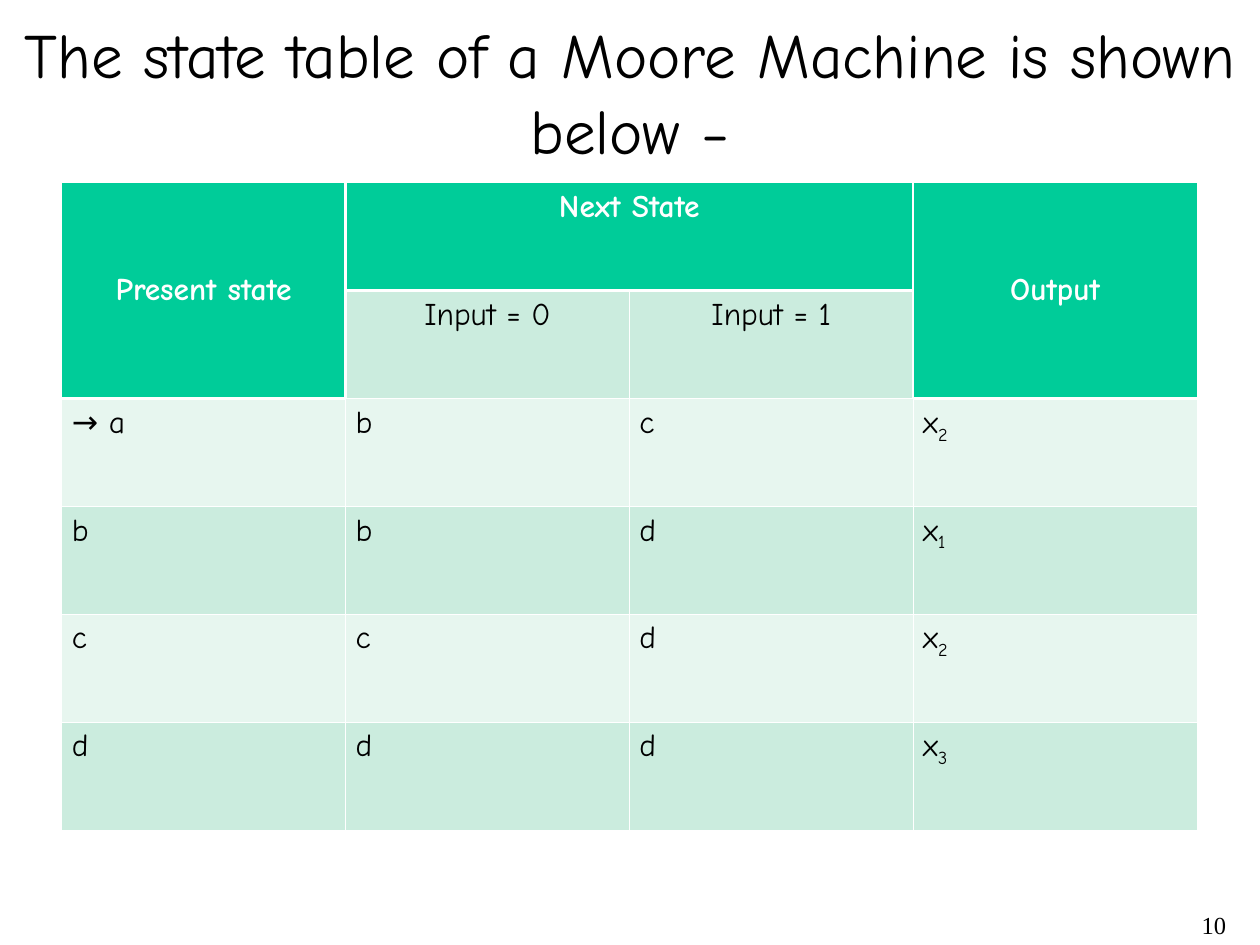
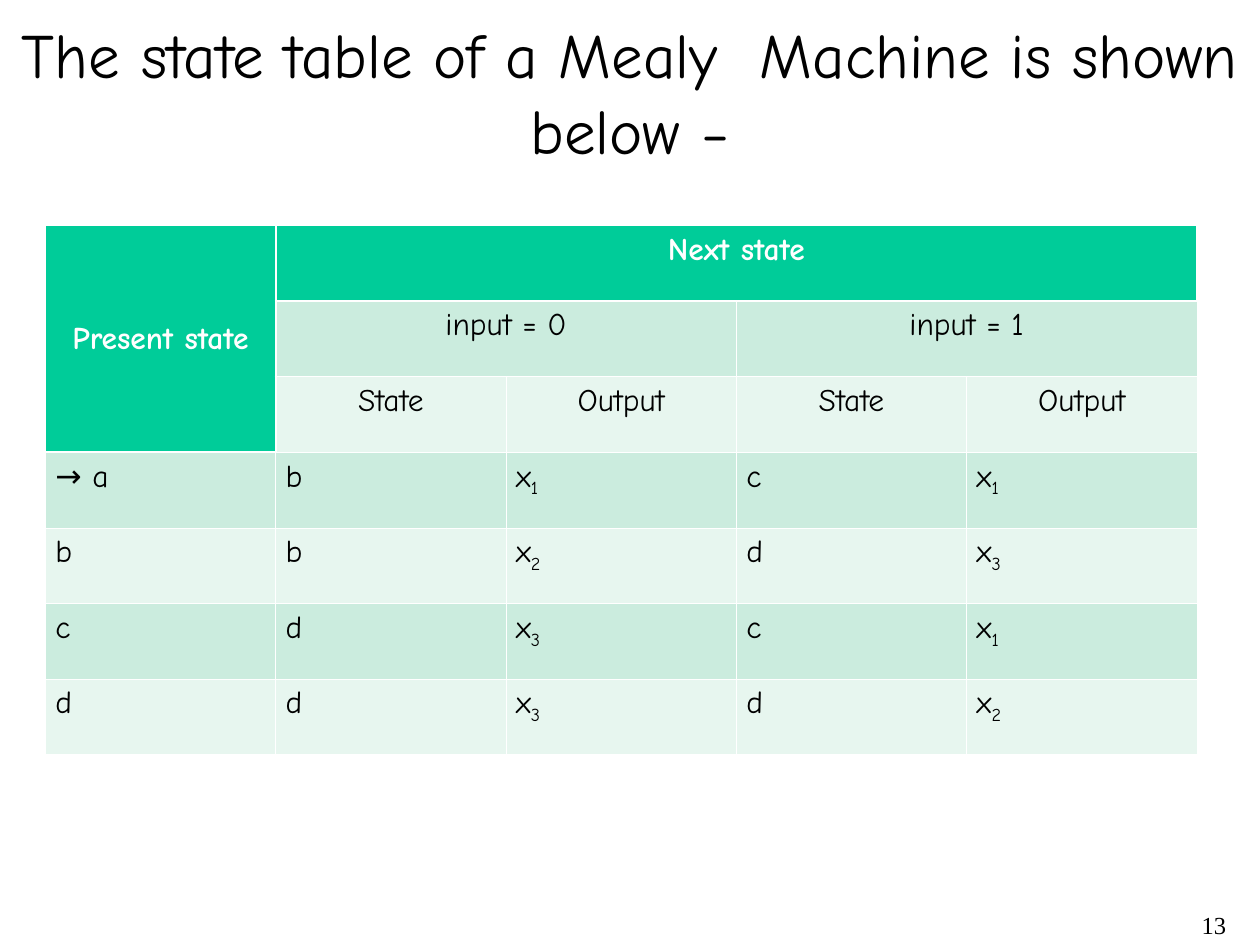
from lxml import etree
from pptx import Presentation
from pptx.dml.color import RGBColor
from pptx.enum import text as t
from pptx.oxml import ns
from pptx.util import Inches, Pt

BLACK = RGBColor(0x00, 0x00, 0x00)
WHITE = RGBColor(0xFF, 0xFF, 0xFF)
HEADING_GREEN = RGBColor(0x00, 0xCC, 0x99)
BANDS = (RGBColor(0xE7, 0xF6, 0xEF), RGBColor(0xCB, 0xEC, 0xDE))
BODY_FONT = "Comic Neue"
NUMBER_FONT = "Times New Roman"
TITLE_BOX = (0, 0, 10, 1.45)
NUMBER_BOX = (7.75, 7.17, 2.08, 0.33)
THIN, THICK = Pt(0.45), Pt(1.47)
SIDES = {"L": (0, -1), "R": (0, 1), "T": (-1, 0), "B": (1, 0)}

MOORE_ROWS = [
    ["Present state", "Next State", None, "Output"],
    [None, "Input = 0", "Input = 1", None],
    ["→ a", "b", "c", "x2"],
    ["b", "b", "d", "x1"],
    ["c", "c", "d", "x2"],
    ["d", "d", "d", "x3"],
]
MOORE_SPANS = {(0, 0): (2, 1), (0, 1): (1, 2), (0, 3): (2, 1)}

MEALY_ROWS = [
    ["Present state", "Next state", None, None, None],
    [None, "input = 0", None, "input = 1", None],
    [None, "State", "Output", "State", "Output"],
    ["→ a", "b", "x1", "c", "x1"],
    ["b", "b", "x2", "d", "x3"],
    ["c", "d", "x3", "c", "x1"],
    ["d", "d", "x3", "d", "x2"],
]
MEALY_SPANS = {(0, 0): (3, 1), (0, 1): (1, 4), (1, 1): (1, 2), (1, 3): (1, 2)}


def set_font(paragraph, name, size, color, bold=False):
    paragraph.font.name = name
    paragraph.font.size = Pt(size)
    paragraph.font.color.rgb = color
    paragraph.font.bold = bold


def add_line(slide, box, words, font, size, align, anchor, inset=(0, 0)):
    frame = slide.shapes.add_textbox(*map(Inches, box)).text_frame
    frame.word_wrap = True
    frame.vertical_anchor = anchor
    frame.margin_left = frame.margin_right = Inches(inset[0])
    frame.margin_top = frame.margin_bottom = Inches(inset[1])
    line = frame.paragraphs[0]
    line.text = words
    line.alignment = align
    set_font(line, font, size, BLACK)


def add_title(slide, words):
    add_line(slide, TITLE_BOX, words, BODY_FONT, 36,
             t.PP_ALIGN.CENTER, t.MSO_ANCHOR.MIDDLE)


def add_slide_number(slide, number):
    add_line(slide, NUMBER_BOX, str(number), NUMBER_FONT, 14,
             t.PP_ALIGN.RIGHT, t.MSO_ANCHOR.TOP, (0.1, 0.05))


def set_border(cell, side, width):
    properties = cell._tc.get_or_add_tcPr()
    border = etree.SubElement(properties, ns.qn(f"a:ln{side}"), w=str(width))
    fill = etree.SubElement(border, ns.qn("a:solidFill"))
    etree.SubElement(fill, ns.qn("a:srgbClr"), val=str(WHITE))


def write_entry(paragraph, entry):
    if entry.startswith("x"):
        paragraph.add_run().text = entry[0]
        subscript = paragraph.add_run()
        subscript.text = entry[1:]
        subscript._r.get_or_add_rPr().set("baseline", "-25000")
    else:
        paragraph.text = entry


def add_state_table(slide, box, rows, spans, label_rows):
    row_count, column_count = len(rows), len(rows[0])
    left, top, width, height = map(Inches, box)
    table = slide.shapes.add_table(
        row_count, column_count, left, top, width, height).table
    headings = {(row + down, column + across)
                for (row, column), (tall, wide) in spans.items() if row == 0
                for down in range(tall) for across in range(wide)}

    for row, entries in enumerate(rows):
        for column, entry in enumerate(entries):
            cell = table.cell(row, column)
            is_heading = (row, column) in headings
            for side, (down, across) in SIDES.items():
                r, c = row + down, column + across
                inside = 0 <= r < row_count and 0 <= c < column_count
                thick = inside and (is_heading or (r, c) in headings)
                set_border(cell, side, THICK if thick else THIN)
            cell.fill.solid()
            cell.fill.fore_color.rgb = HEADING_GREEN if is_heading else BANDS[row % 2]
            cell.margin_left = cell.margin_right = Inches(0.08)
            cell.margin_top = cell.margin_bottom = Inches(0.05)
            if entry is None:
                continue
            paragraph = cell.text_frame.paragraphs[0]
            write_entry(paragraph, entry)
            if row < label_rows:
                paragraph.alignment = t.PP_ALIGN.CENTER
            set_font(paragraph, BODY_FONT, 18,
                     WHITE if is_heading else BLACK, is_heading)

    for (row, column), (tall, wide) in spans.items():
        origin = table.cell(row, column)
        origin.merge(table.cell(row + tall - 1, column + wide - 1))
        if tall > 1:
            origin.vertical_anchor = t.MSO_ANCHOR.MIDDLE


def add_machine_slide(deck, machine, number, box, rows, spans, label_rows):
    slide = deck.slides.add_slide(deck.slide_layouts[6])
    add_title(slide, f"The state table of a {machine} Machine is shown below −")
    add_slide_number(slide, number)
    add_state_table(slide, box, rows, spans, label_rows)


def main():
    deck = Presentation()
    deck.slide_width, deck.slide_height = Inches(10), Inches(7.5)
    add_machine_slide(deck, "Moore", 10, (0.49, 1.45, 9.01, 5.14),
                      MOORE_ROWS, MOORE_SPANS, 2)
    add_machine_slide(deck, "Mealy ", 13, (0.36, 1.79, 9.14, 4.2),
                      MEALY_ROWS, MEALY_SPANS, 3)
    deck.save("out.pptx")


if __name__ == "__main__":
    main()
